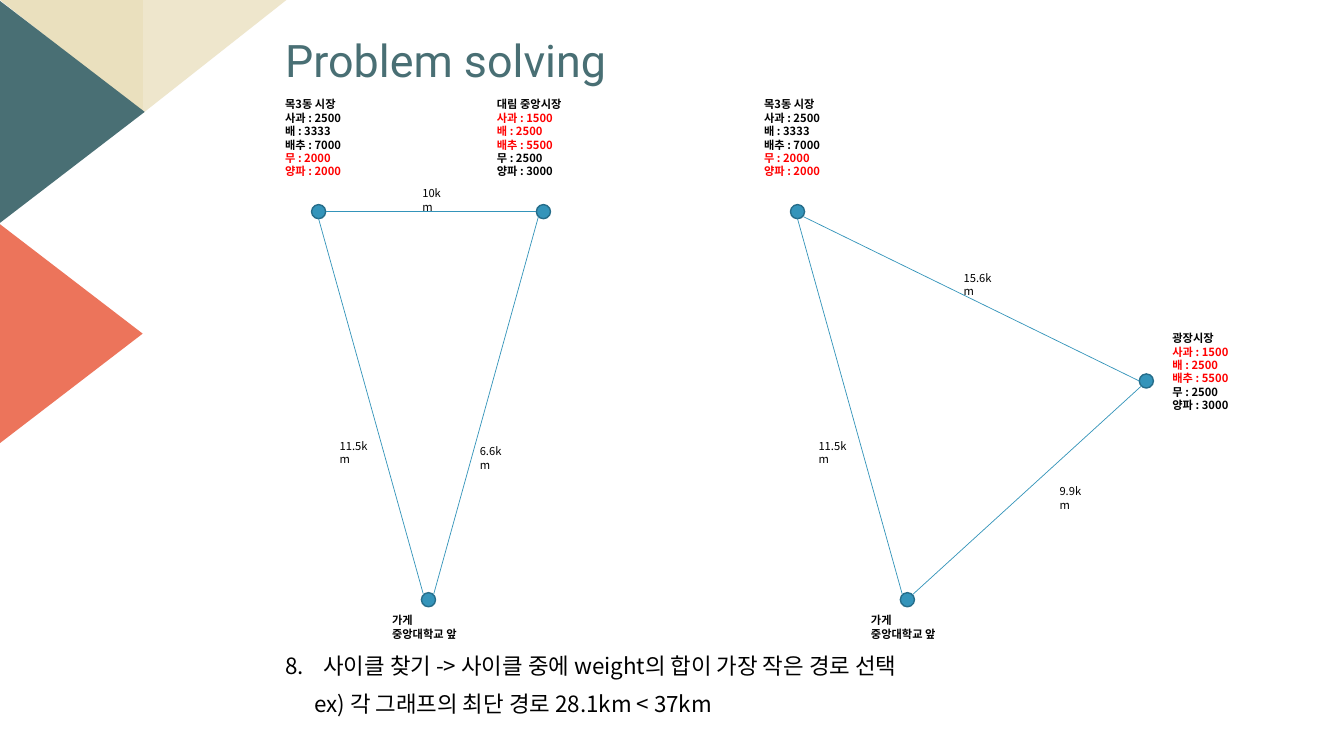
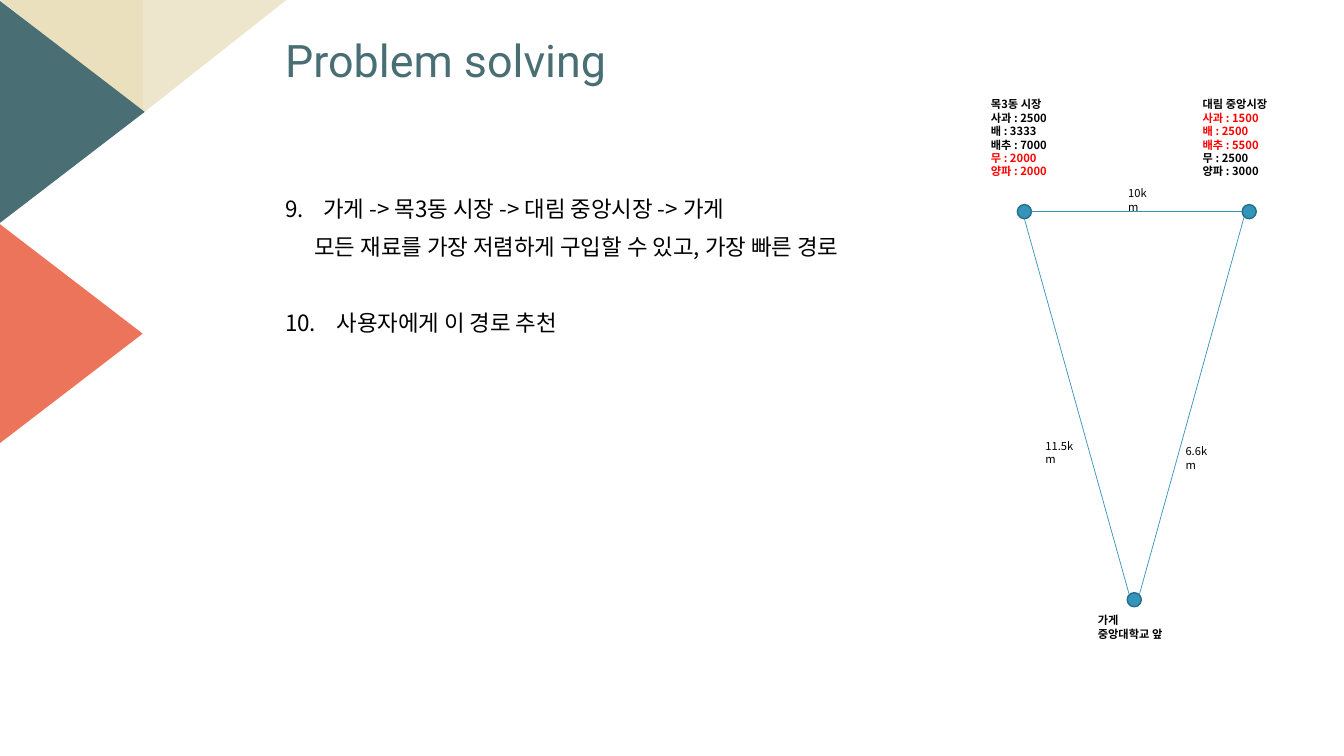
from lxml import etree
from pptx import Presentation
from pptx.dml.color import RGBColor
from pptx.enum import shapes as kinds, text as layout
from pptx.oxml import ns
from pptx.util import Inches, Pt

SAND = RGBColor(0xEA, 0xE0, 0xBE)
PALE_SAND = RGBColor(0xEE, 0xE6, 0xCC)
TEAL = RGBColor(0x49, 0x6F, 0x74)
CORAL = RGBColor(0xEC, 0x74, 0x5B)
BLUE = RGBColor(0x34, 0x94, 0xBA)
DARK_BLUE = RGBColor(0x26, 0x6D, 0x8A)
BLACK = RGBColor(0, 0, 0)
RED = RGBColor(0xFF, 0, 0)
KOREAN = "Noto Sans CJK KR"
DOT = 0.14

RIGHT_TRIANGLE = kinds.MSO_SHAPE.RIGHT_TRIANGLE
TRIANGLE = kinds.MSO_SHAPE.ISOSCELES_TRIANGLE
# preset, box, rotation, mirrored, colour
CORNER = [
    (RIGHT_TRIANGLE, (0, 0, 1.42, 1.12), 180, False, SAND),
    (RIGHT_TRIANGLE, (1.42, 0, 1.42, 1.12), 180, True, PALE_SAND),
    (TRIANGLE, (-0.39, 0.39, 2.21, 1.44), 90, False, TEAL),
    (TRIANGLE, (-0.41, 2.59, 2.21, 1.44), 90, False, CORAL),
]

# Graph x positions count from the graph's left edge.
PRODUCTS = ["사과", "배", "배추", "무", "양파"]
HOME_PRICES = [2500, 3333, 7000, 2000, 2000]
OTHER_PRICES = [1500, 2500, 5500, 2500, 3000]
CHEAPEST = [min(pair) for pair in zip(HOME_PRICES, OTHER_PRICES)]
HOME_MARKET = ("목3동 시장", HOME_PRICES, (0, 0.92, 0.87, 1))
HOME_DOT, SHOP_DOT = (0.36, 2.03), (1.45, 5.88)
HOME_ROAD = ((0.43, 2.17), (1.47, 5.9), "11.5km", (0.54, 4.31, 0.54, 0.41))

NEAR_GRAPH = {
    "dots": [HOME_DOT, (2.59, 2.03), SHOP_DOT],
    "markets": [HOME_MARKET, ("대림 중앙시장", OTHER_PRICES, (2.1, 0.92, 1.12, 1))],
    "roads": [
        HOME_ROAD,
        ((0.5, 2.1), (2.59, 2.1), "10km", (1.36, 1.8, 0.48, 0.41)),
        ((2.61, 2.15), (1.57, 5.9), "6.6km", (1.93, 4.36, 0.48, 0.41)),
    ],
}
FAR_GRAPH = {
    "dots": [HOME_DOT, (3.82, 3.71), SHOP_DOT],
    "markets": [HOME_MARKET, ("광장시장", OTHER_PRICES, (4.05, 3.24, 1.12, 1))],
    "roads": [
        HOME_ROAD,
        ((0.49, 2.15), (3.82, 3.78), "15.6km", (1.98, 2.64, 0.54, 0.41)),
        ((1.57, 5.9), (3.84, 3.83), "9.9km", (2.93, 4.76, 0.48, 0.41)),
    ],
}

# Each step line: text, and its number, indent or space before where it differs
SLIDES = [
    {
        "steps_box": (2.73, 6.45, 9.93, 0.81),
        "steps": [
            ("사이클 찾기 -> 사이클 중에 weight의 합이 가장 작은 경로 선택",
             {"number": 8, "indent": 0.38}),
            ("ex) 각 그래프의 최단 경로 28.1km < 37km", {"indent": 0.29}),
        ],
        "graphs": [(2.73, NEAR_GRAPH), (7.48, FAR_GRAPH)],
    },
    {
        "steps_box": (2.73, 1.92, 7, 2.07),
        "steps": [
            ("가게 -> 목3동 시장 -> 대림 중앙시장 -> 가게", {"number": 9, "indent": 0.38}),
            ("모든 재료를 가장 저렴하게 구입할 수 있고, 가장 빠른 경로", {"indent": 0.29}),
            ("사용자에게 이 경로 추천", {"number": 10, "indent": 0.51, "before": 37}),
        ],
        "graphs": [(9.73, NEAR_GRAPH)],
    },
]


def add_text(shapes, box, lines, size=8, font=KOREAN, color=BLACK, bold=False,
             spacing=None, before=0, anchor=layout.MSO_ANCHOR.TOP):
    """Add a text box; each line is (text, overrides of color, before, indent, number)."""
    frame = shapes.add_textbox(*map(Inches, box)).text_frame
    frame.word_wrap = True
    frame.vertical_anchor = anchor
    for index, (line, own) in enumerate(lines):
        paragraph = frame.add_paragraph() if index else frame.paragraphs[0]
        if spacing:
            paragraph.line_spacing = spacing
        if index:
            paragraph.space_before = Pt(own.get("before", before))
        properties = paragraph._p.get_or_add_pPr()
        if "indent" in own:
            properties.set("marL", str(Inches(own["indent"])))
        if "number" in own:
            properties.set("indent", str(-Inches(own["indent"])))
            etree.SubElement(properties, ns.qn("a:buAutoNum"),
                             type="arabicPeriod", startAt=str(own["number"]))
        run = paragraph.add_run()
        run.text = line
        run.font.size = Pt(size)
        run.font.name = font
        run.font.bold = bold
        run.font.color.rgb = own.get("color", color)
        etree.SubElement(run.font._element, ns.qn("a:ea"), typeface=font)


def add_filled(shapes, preset, box, color):
    shape = shapes.add_shape(preset, *map(Inches, box))
    shape.shadow.inherit = False
    shape.fill.solid()
    shape.fill.fore_color.rgb = color
    shape.line.fill.background()
    return shape


deck = Presentation()
deck.slide_width, deck.slide_height = Inches(13.33), Inches(7.5)

for content in SLIDES:
    slide = deck.slides.add_slide(deck.slide_layouts[6])
    for preset, box, rotation, mirrored, color in CORNER:
        triangle = add_filled(slide.shapes, preset, box, color)
        triangle.rotation = rotation
        if mirrored:
            triangle._element.spPr.xfrm.set("flipH", "1")

    add_text(slide.shapes, (2.73, 0.33, 6.06, 0.59), [("Problem solving", {})],
             size=32, font="Roboto", color=TEAL, spacing=0.9,
             anchor=layout.MSO_ANCHOR.MIDDLE)
    add_text(slide.shapes, content["steps_box"], content["steps"],
             size=16, spacing=0.9, before=10)

    for left, graph in content["graphs"]:
        parts = slide.shapes.add_group_shape().shapes
        for x, y in graph["dots"]:
            dot = add_filled(parts, kinds.MSO_SHAPE.OVAL, (left + x, y, DOT, DOT), BLUE)
            dot.line.color.rgb = DARK_BLUE
            dot.line.width = Pt(1)

        for market, prices, (x, *rest) in graph["markets"]:
            price_lines = [
                (f"{product} : {price}", {"color": RED if price == lowest else BLACK})
                for product, price, lowest in zip(PRODUCTS, prices, CHEAPEST)
            ]
            add_text(parts, (left + x, *rest), [(market, {})] + price_lines, bold=True)
        add_text(parts, (left + 1.06, 6.04, 0.96, 0.41),
                 [("가게", {}), ("중앙대학교 앞", {})], bold=True)

        for (x1, y1), (x2, y2), distance, (x, *rest) in graph["roads"]:
            road = parts.add_connector(kinds.MSO_CONNECTOR.STRAIGHT, Inches(left + x1),
                                       Inches(y1), Inches(left + x2), Inches(y2))
            road.line.color.rgb = BLUE
            road.line.width = Pt(0.5)
            etree.SubElement(road._element.spPr, ns.qn("a:effectLst"))
            add_text(parts, (left + x, *rest), [(distance, {})])

deck.save("out.pptx")
